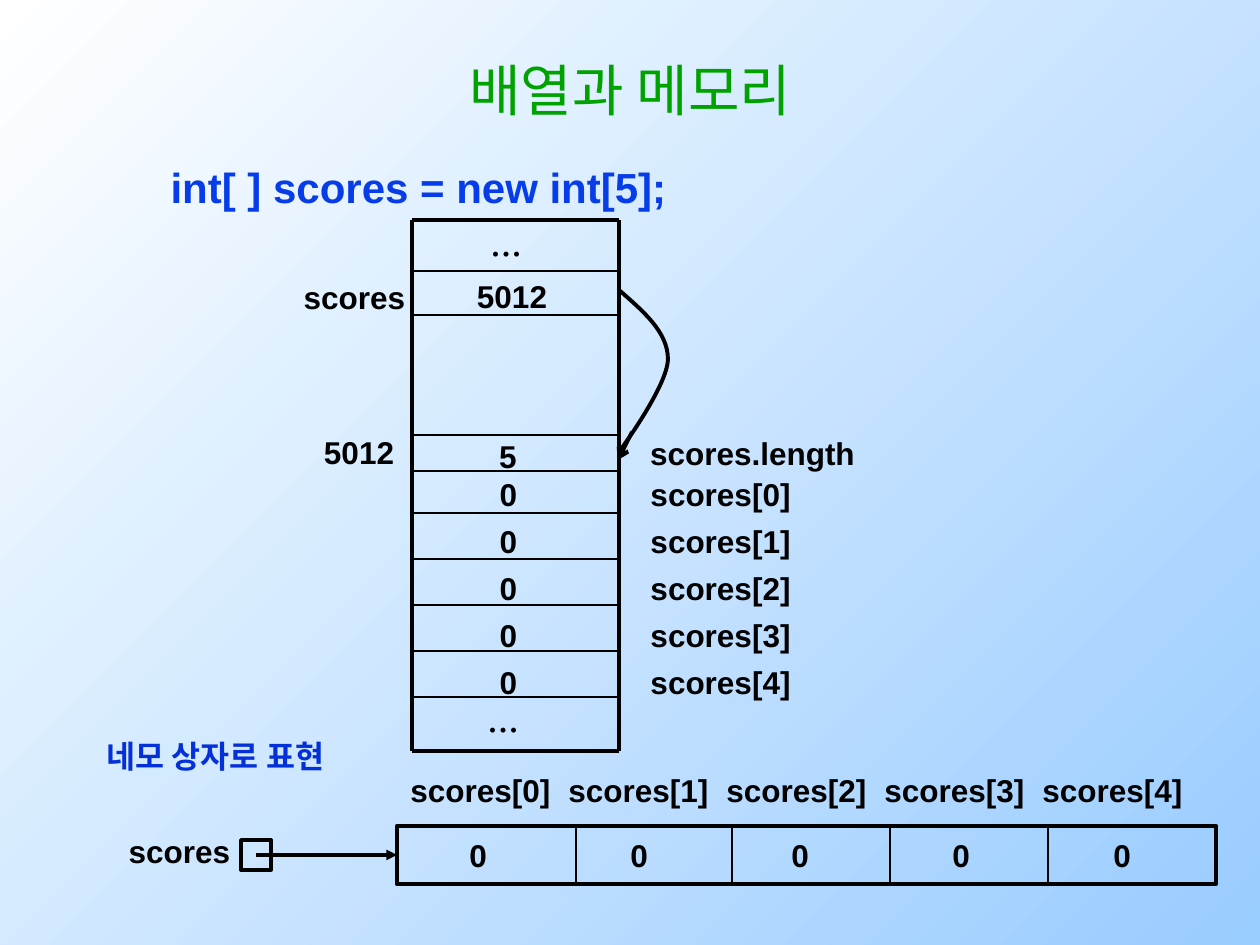
from dataclasses import dataclass

from lxml import etree
from pptx import Presentation
from pptx.dml.color import RGBColor
from pptx.enum.shapes import MSO_CONNECTOR, MSO_SHAPE
from pptx.enum.text import MSO_ANCHOR, MSO_AUTO_SIZE, PP_ALIGN
from pptx.oxml.ns import qn
from pptx.util import Emu, Pt

STRAIGHT = MSO_CONNECTOR.STRAIGHT
RECT = MSO_SHAPE.RECTANGLE
LEFT, CENTER = PP_ALIGN.LEFT, PP_ALIGN.CENTER
SCALE = 914400 / 126  # EMU in one px
COLORS = {
    "ink": "000000",
    "title": "00A200",
    "code": "063DE8",
    "note": "0330D8",
    "light": "FFFFFF",
    "sky": "99CCFF",
}


@dataclass
class Label:
    x: int
    y: int
    w: int
    h: int
    lines: list[str]
    color: str = "ink"
    font: str = "Arial"
    size: int = 18
    bold: bool = True
    align: PP_ALIGN = CENTER
    before: float = 5.2
    tab: int = 0  # step of the tab stops


@dataclass
class Line:
    x1: int
    y1: int
    x2: int
    y2: int
    width: float = 1
    head: str = ""


def px(n: float) -> Emu:
    return Emu(round(n * SCALE))


def rgb(name: str) -> RGBColor:
    return RGBColor.from_string(COLORS[name])


def place(shape, x: int, y: int, w: int, h: int) -> None:
    shape.left, shape.top, shape.width, shape.height = map(px, (x, y, w, h))


def add_run(para, text: str, size: int, color: str, bold: bool, font: str = "Arial") -> None:
    run = para.add_run()
    run.text = text
    run.font.name, run.font.size, run.font.bold = font, Pt(size), bold
    run.font.color.rgb = rgb(color)


def add_label(slide, lab: Label) -> None:
    box = slide.shapes.add_textbox(px(lab.x), px(lab.y), px(lab.w), px(lab.h))
    frame = box.text_frame
    frame.word_wrap = True
    for i, text in enumerate(lab.lines):
        para = frame.add_paragraph() if i else frame.paragraphs[0]
        para.alignment, para.space_before = lab.align, Pt(lab.before)
        add_run(para, text, lab.size, lab.color, lab.bold, lab.font)
        if lab.tab:
            stops = etree.SubElement(para._p.get_or_add_pPr(), qn("a:tabLst"))
            for n in range(1, text.count("\t") + 1):
                etree.SubElement(stops, qn("a:tab"), pos=str(px(n * lab.tab)), algn="l")


def add_line(slide, ln: Line):
    link = slide.shapes.add_connector(STRAIGHT, px(ln.x1), px(ln.y1), px(ln.x2), px(ln.y2))
    link.line.width, link.line.color.rgb = Pt(ln.width), rgb("ink")
    props = link.element.spPr
    if ln.head:
        etree.SubElement(props.find(qn("a:ln")), qn("a:tailEnd"), type=ln.head)
    etree.SubElement(props, qn("a:effectLst"))
    return link


def outline(shape, width: float) -> None:
    shape.shadow.inherit = False
    shape.fill.background()
    shape.line.width, shape.line.color.rgb = Pt(width), rgb("ink")


def add_box(slide, x: int, y: int, w: int, h: int, width: float):
    box = slide.shapes.add_shape(RECT, px(x), px(y), px(w), px(h))
    outline(box, width)
    return box


def add_curve(slide, start: tuple[int, int], points: list[tuple[int, int]], width: float) -> None:
    form = slide.shapes.build_freeform(*start, scale=SCALE)
    form.add_line_segments(points, close=False)
    curve = form.convert_to_shape()
    outline(curve, width)
    # Every three points make one Bezier piece
    trail = curve.element.find(".//" + qn("a:path"))
    segs = trail.findall(qn("a:lnTo"))
    for i in range(0, len(segs), 3):
        bend = etree.SubElement(trail, qn("a:cubicBezTo"))
        for seg in segs[i:i + 3]:
            bend.append(seg[0])
            trail.remove(seg)


def set_back(slide) -> None:
    fill = slide.background.fill
    fill.gradient()
    fill.gradient_angle = 315
    for stop, name, pos in zip(fill.gradient_stops, ("light", "sky"), (0, 1)):
        stop.color.rgb, stop.position = rgb(name), pos


def set_heads(slide) -> None:
    title, body = slide.placeholders
    place(title, 95, 42, 1071, 95)
    place(body, 95, 155, 1081, 756)
    for shape in (title, body):
        shape.text_frame.auto_size = MSO_AUTO_SIZE.NONE
    title.text_frame.vertical_anchor = MSO_ANCHOR.MIDDLE
    head = title.text_frame.paragraphs[0]
    head.alignment = CENTER
    add_run(head, "배열과 메모리", 32, "title", False)
    code = body.text_frame.paragraphs[0]
    code.level, code.space_before = 1, Pt(7)
    props = code._p.get_or_add_pPr()
    props.set("marL", str(px(63)))
    props.set("indent", "0")
    etree.SubElement(props, qn("a:buNone"))
    add_run(code, "int[ ] scores = new int[5];", 24, "code", True)


def draw_memory(slide) -> None:
    left, right, top, foot = 412, 619, 220, 751
    # Frame and cell borders
    for y in (top, foot):
        add_line(slide, Line(left, y, right, y, 2.25))
    for x in (left, right):
        add_line(slide, Line(x, top, x, foot, 2.25))
    for y in (271, 315, 435, 471, 513, 559, 605, 651, 697):
        add_line(slide, Line(left, y, right, y))
    # Reference to the array
    add_curve(slide, (619, 290), [(643, 311), (668, 332), (668, 359),
                                  (668, 386), (619, 452), (619, 452)], 2.25)
    add_line(slide, Line(632, 432, 618, 460, 2.25, "arrow"))
    # Cell values and names
    for x, y in ((478, 208), (475, 684)):
        add_label(slide, Label(x, y, 89, 63, ["..."], font="Times New Roman",
                               size=24, bold=False, align=LEFT, before=0))
    for lab in (
        Label(433, 271, 158, 40, ["5012"]),
        Label(306, 427, 106, 40, ["5012"]),
        Label(455, 431, 106, 40, ["5"]),
        Label(285, 272, 139, 44, ["scores"]),
        Label(634, 428, 237, 44, ["scores.length"]),
        Label(629, 469, 183, 247, NAMES),
        Label(417, 469, 183, 247, ZEROS),
    ):
        add_label(slide, lab)


def draw_boxes(slide) -> None:
    add_label(slide, Label(78, 731, 275, 59, ["네모 상자로 표현"], "note"))
    add_label(slide, Label(110, 826, 139, 44, ["scores"]))
    add_box(slide, 241, 840, 30, 30, 2)
    row = add_box(slide, 397, 826, 819, 58, 2.5)
    add_line(slide, Line(256, 855, 397, 855, 2, "triangle")).end_connect(row, 1)
    for x in (576, 732, 890, 1048):
        add_line(slide, Line(x, 826, x, 884, 1.5))
    add_label(slide, Label(398, 765, 809, 50, ["\t".join(NAMES)], align=LEFT, tab=158))
    add_label(slide, Label(457, 830, 759, 50, ["\t".join(ZEROS)], align=LEFT, tab=161))


NAMES = [f"scores[{i}]" for i in range(5)]
ZEROS = ["0"] * 5


def main() -> None:
    deck = Presentation()
    deck.slide_width, deck.slide_height = px(1260), px(945)
    slide = deck.slides.add_slide(deck.slide_layouts[1])
    set_back(slide)
    set_heads(slide)
    draw_memory(slide)
    draw_boxes(slide)
    deck.save("out.pptx")


if __name__ == "__main__":
    main()
